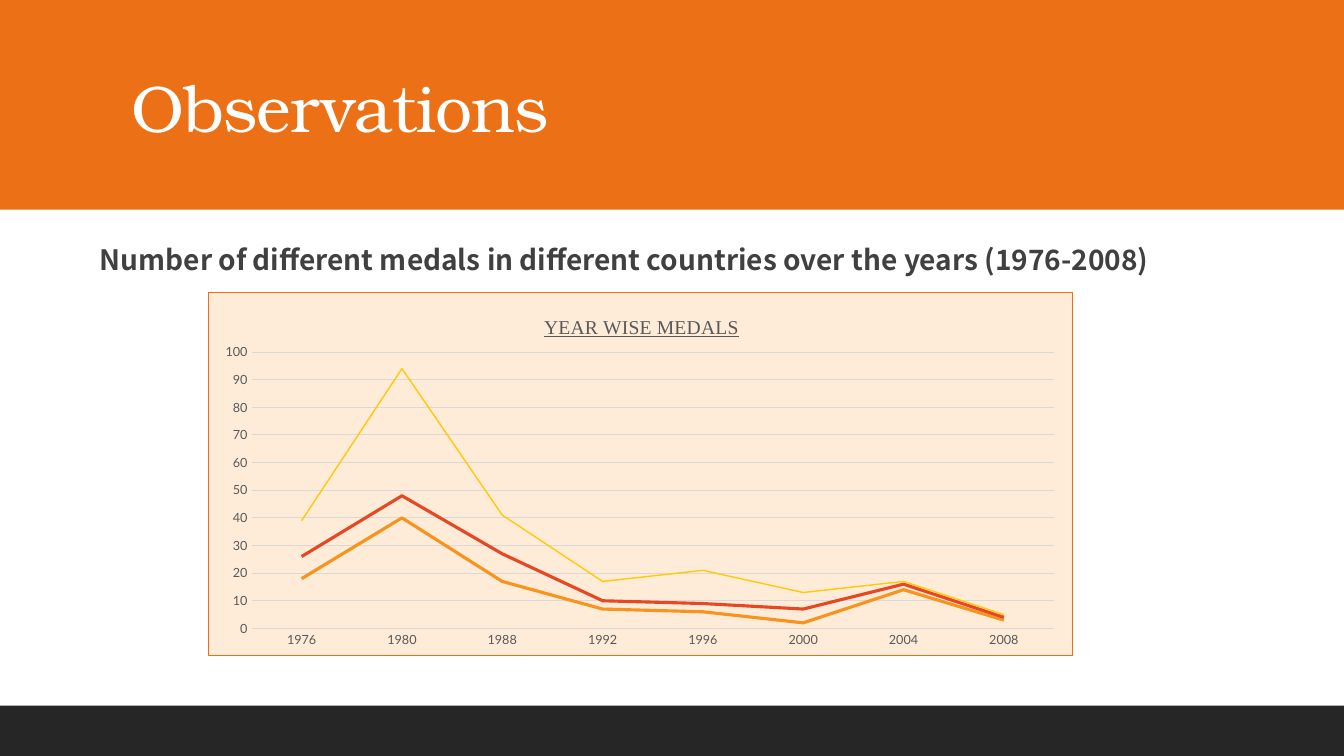
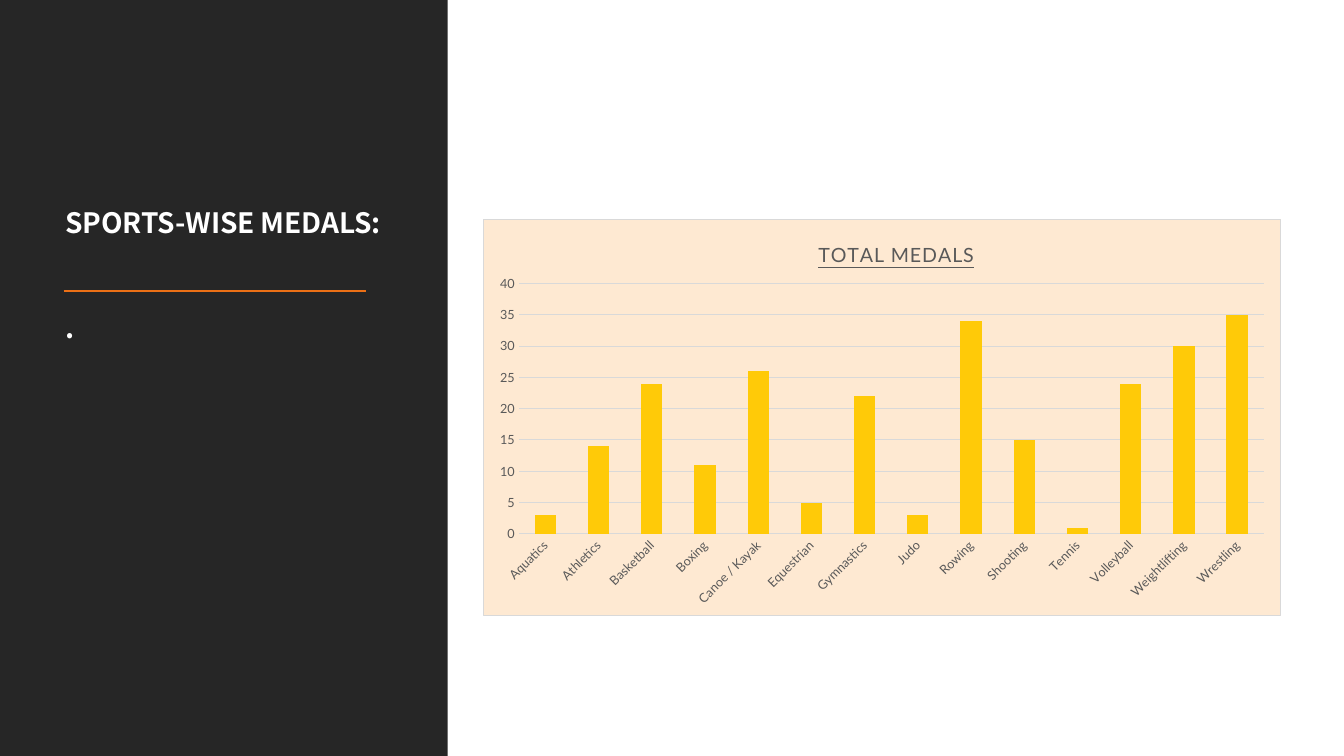
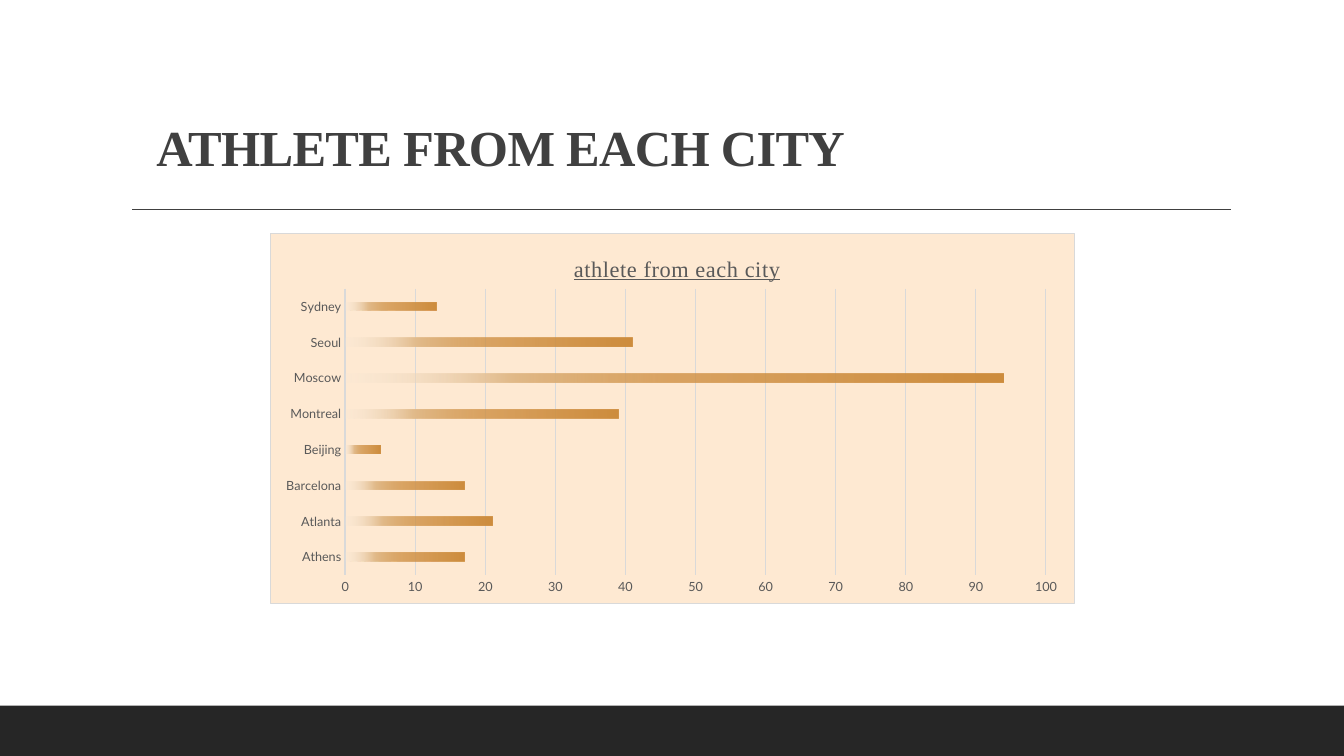
from dataclasses import dataclass

from pptx import Presentation
from pptx import util as u
from pptx.chart.data import CategoryChartData
from pptx.dml.color import RGBColor
from pptx.enum import chart as charts, shapes, text
from pptx.oxml import parse_xml
from pptx.oxml.ns import nsdecls, qn


@dataclass(frozen=True)
class Theme:
    orange: str = "EC7016"
    dark: str = "262626"
    white: str = "FFFFFF"
    black: str = "000000"
    ink: str = "404040"
    label: str = "595959"
    grid: str = "D9D9D9"
    cream: str = "FEE9D2"
    amber: str = "F8931D"
    red: str = "E64823"
    gold: str = "FFCA08"
    sans: str = "Noto Sans CJK SC"
    serif: str = "Times New Roman"
    display: str = "TeX Gyre Bonum"
    chart_font: str = "Lato"
    opening_size: float = 47
    title_size: float = 36
    heading_size: float = 20
    chart_size: float = 10
    axis_size: float = 9
    hairline: float = 0.75


THEME = Theme()
# Position in percent, colour, opacity in percent
BRONZE_FADE = [(0, "CE8D3E", 100), (51, "CE8D3E", 75),
               (75, "E2BB8B", 100), (100, "F5E8D8", 15)]


def rgb(value):
    return RGBColor.from_string(value)


def put(target, **values):
    for name, value in values.items():
        setattr(target, name, value)


def set_font(font, size, color, face, **extra):
    put(font, size=u.Pt(size), name=face, **extra)
    font.color.rgb = rgb(color)


def set_line(line, color, width):
    """Colour and weigh a line, or hide it when there is no width."""
    if width:
        line.color.rgb = rgb(color)
        line.width = u.Pt(width)
    else:
        line.fill.background()


def color_xml(color, opacity=100):
    return (f'<a:srgbClr val="{color}"><a:alpha val="{opacity * 1000}"/>'
            '</a:srgbClr>')


def fade_fill(stops):
    """Gradient fill that runs from right to left."""
    marks = "".join(f'<a:gs pos="{at * 1000}">{color_xml(color, opacity)}</a:gs>'
                    for at, color, opacity in stops)
    return parse_xml(f'<a:gradFill {nsdecls("a")} rotWithShape="1"><a:gsLst>{marks}'
                     '</a:gsLst><a:lin ang="10800000" scaled="0"/></a:gradFill>')


def place_part(part, index, box, frame):
    """Fix a chart part at left, top[, width, height] inches inside the frame."""
    for old in part.findall(qn("c:layout")):
        part.remove(old)
    inner = '<c:layoutTarget val="inner"/>' if len(box) == 4 else ""
    modes = '<c:xMode val="edge"/><c:yMode val="edge"/>'
    sizes = "".join(f'<c:{name} val="{length / whole:.4f}"/>'
                    for name, length, whole in zip("xywh", box, frame * 2))
    part.insert(index, parse_xml(
        f'<c:layout {nsdecls("c")}><c:manualLayout>{inner}{modes}{sizes}'
        '</c:manualLayout></c:layout>'))


class Deck:
    def __init__(self, theme):
        self.theme = theme
        self.prs = Presentation()
        put(self.prs, slide_width=u.Inches(13.33), slide_height=u.Inches(7.5))
        self.slide = None

    def new_slide(self):
        self.slide = self.prs.slides.add_slide(self.prs.slide_layouts[5])

    def band(self, color, *box):
        band = self.slide.shapes.add_shape(
            shapes.MSO_SHAPE.RECTANGLE, *map(u.Inches, box))
        band.shadow.inherit = False
        band.fill.solid()
        band.fill.fore_color.rgb = rgb(color)
        band.line.fill.background()

    def footer(self):
        self.band(self.theme.dark, 0, 7, 13.33, 0.5)

    def rule(self, left, right, top, color, width):
        rule = self.slide.shapes.add_connector(
            shapes.MSO_CONNECTOR.STRAIGHT,
            *map(u.Inches, (left, top, right, top)))
        set_line(rule.line, color, width)
        rule._element.spPr.append(parse_xml(f'<a:effectLst {nsdecls("a")}/>'))

    def set_words(self, holder, words, size, color, face, side=0, bold=False,
                  anchor=text.MSO_ANCHOR.TOP, leading=1.0, spacing=0):
        frame = holder.text_frame
        put(frame, word_wrap=True, auto_size=text.MSO_AUTO_SIZE.NONE,
            vertical_anchor=anchor,
            margin_left=u.Inches(side), margin_right=u.Inches(side),
            margin_top=u.Inches(0.05), margin_bottom=u.Inches(0.05))
        line = frame.paragraphs[0]
        put(line, alignment=text.PP_ALIGN.LEFT, line_spacing=leading)
        run = line.add_run()
        run.text = words
        set_font(run.font, size, color, face, bold=bold)
        run.font._element.set("spc", str(round(spacing * 100)))

    def title(self, words, box, *font, **style):
        holder = self.slide.shapes.title
        put(holder, **dict(zip(("left", "top", "width", "height"),
                               map(u.Inches, box))))
        # Draw the title above the bands that were added before it
        holder._element.getparent().append(holder._element)
        self.set_words(holder, words, *font, **style)

    def label(self, words, box, *font, **style):
        holder = self.slide.shapes.add_textbox(*map(u.Inches, box))
        self.set_words(holder, words, *font, **style)

    def chart(self, kind, box, cats, rows, scale, plot_box, base_width=0,
              border=None, opacity=100, **title):
        """Add a framed chart; scale is the top and step of the value axis."""
        t = self.theme
        data = CategoryChartData()
        data.categories = cats
        for number, row in enumerate(rows, 1):
            data.add_series(f"Series {number}", row)
        chart = self.slide.shapes.add_chart(
            kind, *map(u.Inches, box), data).chart
        chart.has_legend = False
        set_font(chart.font, t.chart_size, t.black, t.chart_font)
        chart.plots[0].vary_by_categories = False
        self.chart_frame(chart, border or t.grid, opacity)
        self.chart_title(chart, box[2:], **title)
        place_part(chart._chartSpace.chart.plotArea, 0, plot_box, box[2:])
        top, step = scale
        put(chart.value_axis, minimum_scale=0, maximum_scale=top,
            major_unit=step, has_major_gridlines=True)
        set_line(chart.value_axis.major_gridlines.format.line, t.grid, t.hairline)
        for axis, width in ((chart.value_axis, 0),
                            (chart.category_axis, base_width)):
            put(axis, major_tick_mark=charts.XL_TICK_MARK.NONE,
                minor_tick_mark=charts.XL_TICK_MARK.NONE)
            set_font(axis.tick_labels.font, t.axis_size, t.label, t.chart_font)
            set_line(axis.format.line, t.grid, width)
        return chart

    def chart_frame(self, chart, border, opacity):
        t = self.theme
        chart._chartSpace.chart.addnext(parse_xml(
            f'<c:spPr {nsdecls("c", "a")}>'
            f'<a:solidFill>{color_xml(t.cream, opacity)}</a:solidFill>'
            f'<a:ln w="{int(u.Pt(t.hairline))}"><a:solidFill>{color_xml(border)}'
            '</a:solidFill></a:ln></c:spPr>'))

    def chart_title(self, chart, frame, words, at, size, face, spacing=0):
        chart.has_title = True
        run = chart.chart_title.text_frame.paragraphs[0].add_run()
        run.text = words
        set_font(run.font, size, self.theme.label, face,
                 underline=True, bold=False)
        run.font._element.set("spc", str(round(spacing * 100)))
        place_part(chart.chart_title._element, 1, at, frame)


def year_slide(deck):
    t = deck.theme
    deck.new_slide()
    deck.band(t.orange, 0, 0, 13.33, 2.08)
    deck.title("Observations", (1.2, 0.31, 11, 1.59), t.opening_size, t.white,
               t.display, side=0.1, anchor=text.MSO_ANCHOR.MIDDLE,
               leading=0.9, spacing=-0.5)
    deck.label("Number of different medals in different countries "
               "over the years (1976-2008)", (0.99, 2.36, 11, 0.5),
               t.heading_size, t.ink, t.sans, bold=True)
    deck.footer()
    years = ["1976", "1980", "1988", "1992", "1996", "2000", "2004", "2008"]
    medals = [[18, 40, 17, 7, 6, 2, 14, 3],
              [8, 8, 10, 3, 3, 5, 2, 1],
              [13, 46, 14, 7, 12, 6, 1, 1]]
    chart = deck.chart(
        charts.XL_CHART_TYPE.LINE_STACKED, (2.06, 2.9, 8.58, 3.61),
        years, medals, (100, 10), (0.43, 0.59, 7.97, 2.75),
        base_width=t.hairline, border=t.orange, opacity=84,
        words="YEAR WISE MEDALS", at=(3.3, 0.18), size=14, face=t.serif)
    strokes = [(t.amber, 2.25), (t.red, 2.25), (t.gold, 1)]
    for series, stroke in zip(chart.plots[0].series, strokes):
        series.smooth = False
        series.marker.style = charts.XL_MARKER_STYLE.NONE
        set_line(series.format.line, *stroke)


def sports_slide(deck):
    t = deck.theme
    deck.new_slide()
    deck.band(t.dark, 0, 0, 4.44, 7.5)
    deck.rule(0.63, 3.63, 2.89, t.orange, 1.5)
    heading_font = (t.heading_size, t.white, t.sans)
    deck.title("SPORTS-WISE MEDALS:", (0.65, 1.99, 3.5, 0.5), *heading_font,
               bold=True, spacing=-0.1)
    deck.label(".", (0.65, 3.03, 3.5, 0.5), *heading_font, bold=True)
    totals = {"Aquatics": 3, "Athletics": 14, "Basketball": 24, "Boxing": 11,
              "Canoe / Kayak": 26, "Equestrian": 5, "Gymnastics": 22, "Judo": 3,
              "Rowing": 34, "Shooting": 15, "Tennis": 1, "Volleyball": 24,
              "Weightlifting": 30, "Wrestling": 35}
    chart = deck.chart(
        charts.XL_CHART_TYPE.COLUMN_CLUSTERED, (4.79, 2.17, 7.92, 3.94),
        list(totals), [list(totals.values())], (40, 5),
        (0.35, 0.64, 7.4, 2.49),
        words="TOTAL MEDALS", at=(3.29, 0.17), size=14, face=t.chart_font,
        spacing=0.5)
    chart.plots[0].gap_width = 150
    columns = chart.plots[0].series[0].format.fill
    columns.solid()
    columns.fore_color.rgb = rgb(t.gold)
    names = chart.category_axis._element.find(qn("c:txPr"))
    names.find(qn("a:bodyPr")).set("rot", str(-45 * 60000))


def city_slide(deck):
    t = deck.theme
    deck.new_slide()
    deck.footer()
    deck.rule(1.31, 12.21, 2.08, t.ink, 1)
    deck.title("ATHLETE FROM EACH CITY", (1.45, 1.08, 11, 0.74), t.title_size,
               t.ink, t.serif, side=0.1, bold=True,
               anchor=text.MSO_ANCHOR.MIDDLE, spacing=-0.5)
    athletes = {"Athens": 17, "Atlanta": 21, "Barcelona": 17, "Beijing": 5,
                "Montreal": 39, "Moscow": 94, "Seoul": 41, "Sydney": 13}
    chart = deck.chart(
        charts.XL_CHART_TYPE.BAR_CLUSTERED, (2.68, 2.31, 7.98, 3.68),
        list(athletes), [list(athletes.values())], (100, 10),
        (0.74, 0.55, 6.96, 2.85), base_width=1.5,
        words="athlete from each city", at=(2.97, 0.17), size=16, face=t.serif,
        spacing=0.5)
    chart.plots[0].gap_width = 326
    bars = chart.plots[0].series[0]
    bars._element.get_or_add_spPr().insert(0, fade_fill(BRONZE_FADE))


def main():
    deck = Deck(THEME)
    for build in (year_slide, sports_slide, city_slide):
        build(deck)
    deck.prs.save("out.pptx")


if __name__ == "__main__":
    main()
